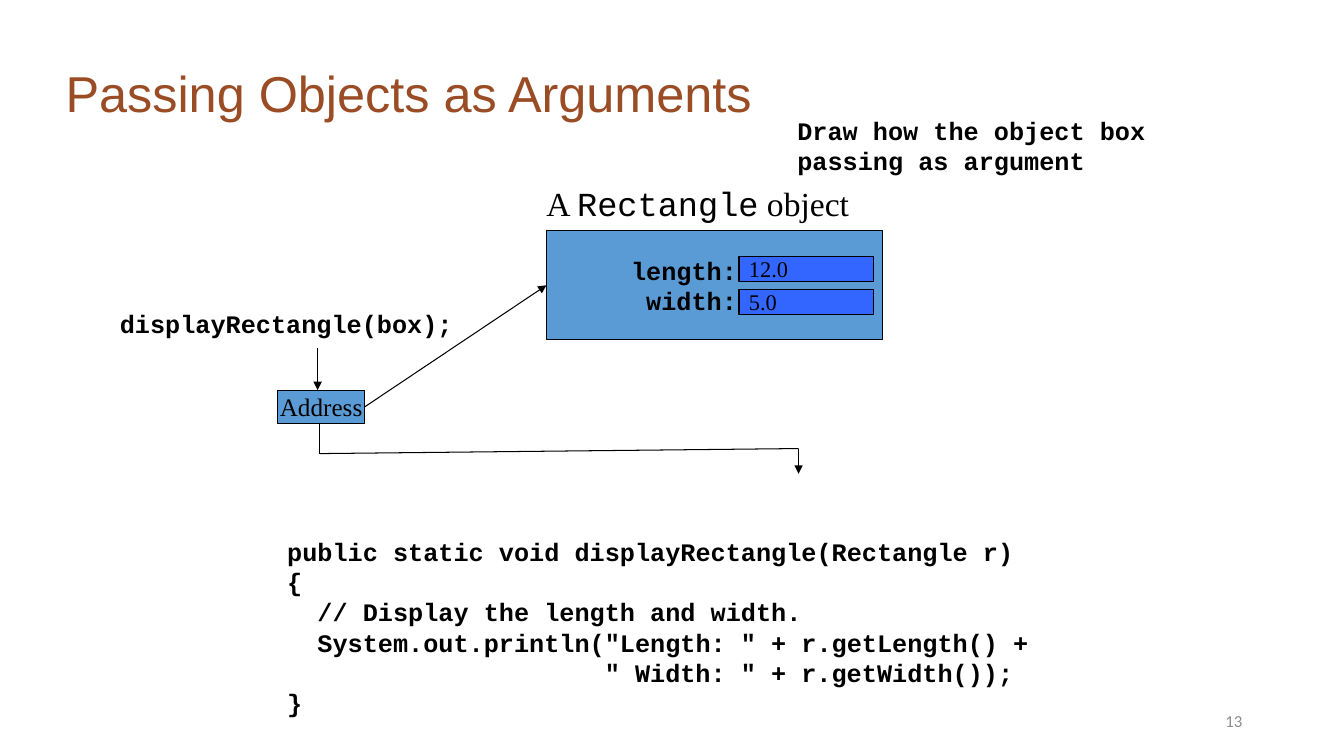
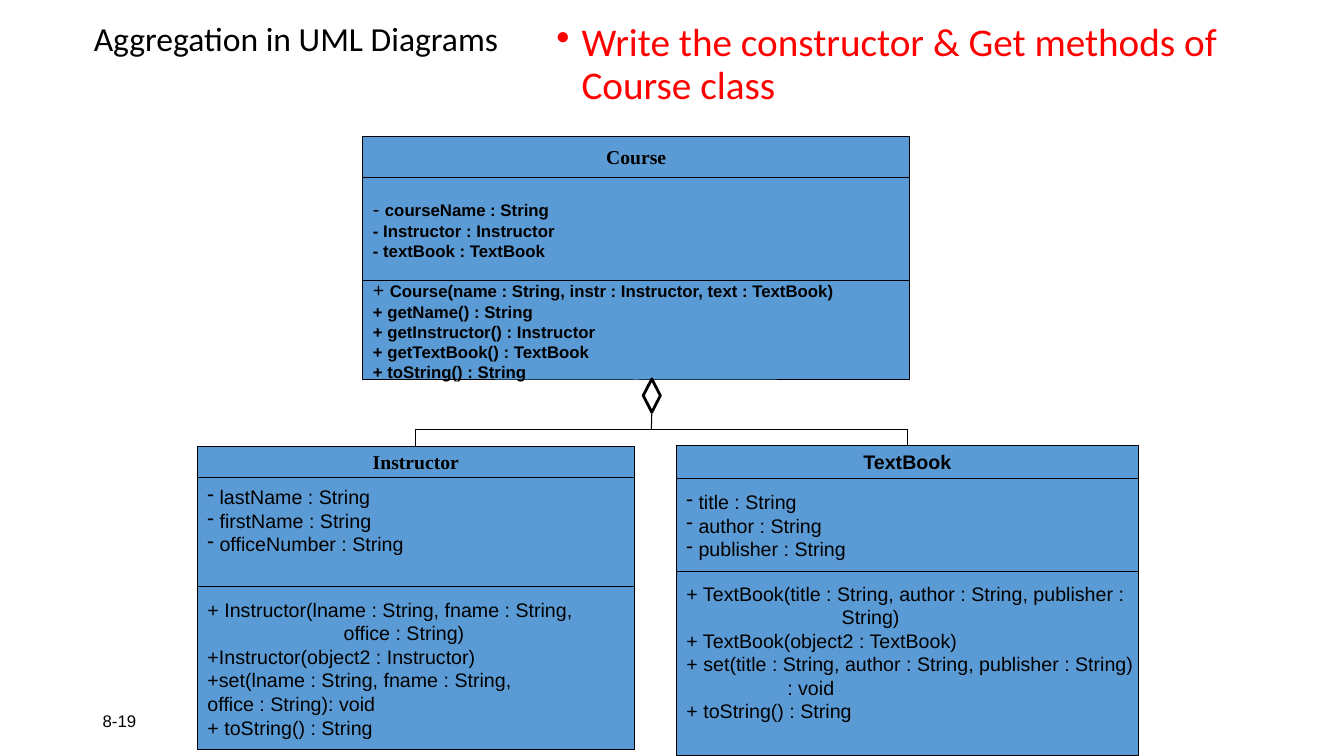
from dataclasses import dataclass, replace

from pptx import Presentation
from pptx.dml.color import RGBColor
from pptx.enum.shapes import MSO_CONNECTOR, MSO_SHAPE
from pptx.enum.text import MSO_ANCHOR, MSO_AUTO_SIZE, PP_ALIGN
from pptx.oxml.ns import qn
from pptx.util import Inches, Pt
from lxml.etree import SubElement

# Shared look
BLACK = RGBColor(0x00, 0x00, 0x00)
WHITE = RGBColor(0xFF, 0xFF, 0xFF)
BROWN = RGBColor(0x9A, 0x4C, 0x25)
RED = RGBColor(0xFF, 0x00, 0x00)
GREY = RGBColor(0x8C, 0x8C, 0x8C)
BOX_BLUE = RGBColor(0x5B, 0x9B, 0xD5)
FIELD_BLUE = RGBColor(0x33, 0x66, 0xFF)
LEFT, CENTER, RIGHT = PP_ALIGN.LEFT, PP_ALIGN.CENTER, PP_ALIGN.RIGHT
TOP, MIDDLE = MSO_ANCHOR.TOP, MSO_ANCHOR.MIDDLE
INSETS = (0.1, 0.05, 0.1, 0.05)  # left, top, right, bottom
TITLE_ONLY = 5


@dataclass(frozen=True)
class Style:
    font: str
    size: int
    bold: bool = False
    color: RGBColor = BLACK


@dataclass(frozen=True)
class Para:
    text: object  # a string, or a list of (text, style) runs
    indent: float = 0
    bullet: str = ""


CODE = Style("Courier New", 18, True)
SERIF = Style("Times New Roman", 18)
MEMBER = Style("Arial", 14)
SMALL_MEMBER = Style("Arial", 12, True)
SERIF_HEAD = Style("Times New Roman", 14, True)
SANS_HEAD = Style("Arial", 14, True)

# Content: passing objects
CODE_CHAR = 0.15  # width of one code character
METHOD = [  # (indent in characters, line)
    (0, "public static void displayRectangle(Rectangle r)"),
    (0, "{"),
    (2, "// Display the length and width."),
    (2, 'System.out.println("Length: " + r.getLength() +'),
    (21, '" Width: " + r.getWidth());'),
    (0, "}"),
]
CAPTION = [("A ", replace(SERIF, size=24)),
           ("Rectangle", Style("Courier New", 24)),
           (" object", replace(SERIF, size=24))]
FIELDS = [("length:", "12.0"), ("width:", "5.0")]

# Content: class diagram, each part as (height, paragraphs, blank room below)
ROOM = 0.23
CLASSES = {
    "Course": dict(
        at=(3.6, 1.35), width=5.42, head=(0.41, SERIF_HEAD), style=SMALL_MEMBER,
        parts=[
            (1.02, [Para([("- ", MEMBER), ("courseName : String", SMALL_MEMBER)]),
                    Para("- Instructor : Instructor"),
                    Para("- textBook : TextBook")], 0),
            (0.99, [Para([("+ ", MEMBER),
                          ("Course(name : String, instr : Instructor, text : TextBook)",
                           SMALL_MEMBER)]),
                    Para("+ getName() : String"),
                    Para("+ getInstructor() : Instructor"),
                    Para("+ getTextBook() : TextBook"),
                    Para("+ toString() : String")], 0),
        ]),
    "TextBook": dict(
        at=(6.71, 4.42), width=4.58, head=(0.33, SANS_HEAD), style=MEMBER,
        parts=[
            (0.92, [Para(name + " : String", 0.12, "-")
                    for name in ("title", "author", "publisher")], 0),
            (1.83, [Para("+ TextBook(title : String, author : String, publisher :"),
                    Para("String)", 1.54),
                    Para("+ TextBook(object2 : TextBook)"),
                    Para("+ set(title : String, author : String, publisher : String)"),
                    Para(": void", 1),
                    Para("+ toString() : String")], ROOM),
        ]),
    "Instructor": dict(
        at=(1.96, 4.43), width=4.33, head=(0.31, SERIF_HEAD), style=MEMBER,
        parts=[
            (1.08, [Para(name + " : String", 0.12, "-")
                    for name in ("lastName", "firstName", "officeNumber")], ROOM),
            (1.62, [Para("+ Instructor(lname : String, fname : String,"),
                    Para("office : String)", 1.35),
                    Para("+Instructor(object2 : Instructor)"),
                    Para("+set(lname : String, fname : String,"),
                    Para("office : String): void"),
                    Para("+ toString() : String")], 0),
        ]),
}


# Drawing helpers
def write(frame, paras, style, align=LEFT, anchor=TOP, insets=INSETS,
          spacing=None, before=None):
    frame.word_wrap = True
    frame.auto_size = MSO_AUTO_SIZE.NONE
    frame.vertical_anchor = anchor
    (frame.margin_left, frame.margin_top,
     frame.margin_right, frame.margin_bottom) = map(Inches, insets)
    for i, para in enumerate(paras):
        p = frame.paragraphs[0] if i == 0 else frame.add_paragraph()
        p.alignment = align
        if spacing:
            p.line_spacing = spacing
        if before is not None:
            p.space_before = Pt(before)
        props = p._p.get_or_add_pPr()
        props.set("marL", str(Inches(para.indent)))
        props.set("indent", str(-Inches(para.indent) if para.bullet else 0))
        if para.bullet:
            SubElement(props, qn("a:buChar")).set("char", para.bullet)
        runs = [(para.text, style)] if isinstance(para.text, str) else para.text
        for text, look in runs:
            run = p.add_run()
            run.text = text
            run.font.name = look.font
            run.font.size = Pt(look.size)
            run.font.bold = look.bold
            run.font.color.rgb = look.color


def add_text(slide, at, paras, style, **layout):
    write(slide.shapes.add_textbox(*map(Inches, at)).text_frame,
          paras, style, **layout)


def add_box(slide, at, fill=BOX_BLUE, kind=MSO_SHAPE.RECTANGLE, line=0.75):
    box = slide.shapes.add_shape(kind, *map(Inches, at))
    box.shadow.inherit = False
    if fill is None:
        box.fill.background()
    else:
        box.fill.solid()
        box.fill.fore_color.rgb = fill
    box.line.color.rgb = BLACK
    box.line.width = Pt(line)
    return box


def add_line(slide, start, end, arrow=False, begin=None, finish=None):
    """begin and finish are optional (shape, side) joints."""
    line = slide.shapes.add_connector(MSO_CONNECTOR.STRAIGHT,
                                      *map(Inches, start + end))
    if begin:
        line.begin_connect(*begin)
    if finish:
        line.end_connect(*finish)
    line.line.color.rgb = BLACK
    line.line.width = Pt(0.75)
    if arrow:
        SubElement(line.line._get_or_add_ln(), qn("a:tailEnd")).set("type", "triangle")
    SubElement(line._element.spPr, qn("a:effectLst"))


def start_slide(prs, title, at, style, page, page_left, page_style, page_align,
                **layout):
    slide = prs.slides.add_slide(prs.slide_layouts[TITLE_ONLY])
    slide.background.fill.solid()
    slide.background.fill.fore_color.rgb = WHITE
    holder = slide.shapes.title
    holder.left, holder.top, holder.width, holder.height = map(Inches, at)
    write(holder.text_frame, [Para(title)], style, **layout)
    add_text(slide, (page_left, 6.95, 3, 0.4), [Para(page)], page_style,
             align=page_align, anchor=MIDDLE)
    return slide


# Slides
def build_passing(prs):
    slide = start_slide(prs, "Passing Objects as Arguments", (0.55, 0.57, 10.85, 0.71),
                        Style("Arial", 36, color=BROWN),
                        "13", 9.42, Style("Calibri", 12, color=GREY), RIGHT)
    add_text(slide, (2.75, 5.27, 8, 1.9),
             [Para(text, chars * CODE_CHAR) for chars, text in METHOD], CODE)
    add_text(slide, (1.09, 3.01, 3.58, 0.4), [Para("displayRectangle(box);")], CODE)
    add_text(slide, (7.81, 1.09, 4.78, 0.71),
             [Para("Draw how the object box passing as argument")], CODE)
    add_text(slide, (5.32, 1.77, 3.5, 0.5), [Para(CAPTION)], SERIF)

    # The object and its fields
    rectangle = add_box(slide, (5.42, 2.29, 3.33, 1.08))
    write(rectangle.text_frame, [Para(name) for name, _ in FIELDS], CODE,
          align=RIGHT, anchor=MIDDLE, insets=(0.1, 0.05, 1.44, 0.05))
    for row, (_, value) in enumerate(FIELDS):
        field = add_box(slide, (7.33, 2.54 + row * 0.33, 1.33, 0.25), FIELD_BLUE)
        write(field.text_frame, [Para(value)], replace(SERIF, size=16), anchor=MIDDLE)

    # The address and where it goes
    address = add_box(slide, (2.75, 3.87, 0.87, 0.33))
    write(address.text_frame, [Para("Address")], SERIF, align=CENTER,
          anchor=MIDDLE, insets=(0, 0.05, 0, 0.05))
    add_line(slide, (3.15, 3.45), (3.15, 3.87), arrow=True)
    add_line(slide, (3.62, 4.04), (5.42, 2.83), arrow=True,
             begin=(address, 3), finish=(rectangle, 1))
    route = [(3.17, 4.2), (3.17, 4.5), (7.92, 4.45), (7.92, 4.7)]
    for start, end in zip(route, route[1:]):
        add_line(slide, start, end, arrow=end == route[-1])


def add_class(slide, name, at, width, head, style, parts):
    left, top = at
    height, head_style = head
    head_box = add_box(slide, (left, top, width, height))
    write(head_box.text_frame, [Para(name)], head_style, align=CENTER, anchor=MIDDLE)
    top += height
    for height, paras, room in parts:
        part = add_box(slide, (left, top, width, height))
        write(part.text_frame, paras, style, anchor=MIDDLE,
              insets=(0.1, 0.05, 0, 0.05 + room))
        top += height
    return head_box


def build_aggregation(prs):
    slide = start_slide(prs, "Aggregation in UML Diagrams", (0.83, 0.11, 4.58, 0.58),
                        Style("Calibri", 24), "8-19", 0.92, Style("Arial", 12), LEFT,
                        anchor=MIDDLE, spacing=0.9)
    heads = {name: add_class(slide, name, **spec) for name, spec in CLASSES.items()}

    # Aggregation link: diamond, stem, bar and drops
    bar_y, stem_x = 4.26, 6.46
    diamond = add_box(slide, (6.38, 3.76, 0.17, 0.33), None, MSO_SHAPE.DIAMOND, 2)
    add_line(slide, (stem_x, 4.09), (stem_x, bar_y), begin=(diamond, 2))
    for name in ("Instructor", "TextBook"):
        spec = CLASSES[name]
        x = spec["at"][0] + spec["width"] / 2
        add_line(slide, (stem_x, bar_y), (x, bar_y))
        add_line(slide, (x, bar_y), (x, spec["at"][1]), finish=(heads[name], 0))

    add_text(slide, (5.42, 0.18, 7.75, 1.06),
             [Para("Write the constructor & Get methods of Course class", 0.25, "•")],
             Style("Calibri", 28, color=RED), spacing=0.9, before=10)


def main():
    prs = Presentation()
    prs.slide_width, prs.slide_height = Inches(13.33), Inches(7.5)
    build_passing(prs)
    build_aggregation(prs)
    prs.save("out.pptx")


if __name__ == "__main__":
    main()
